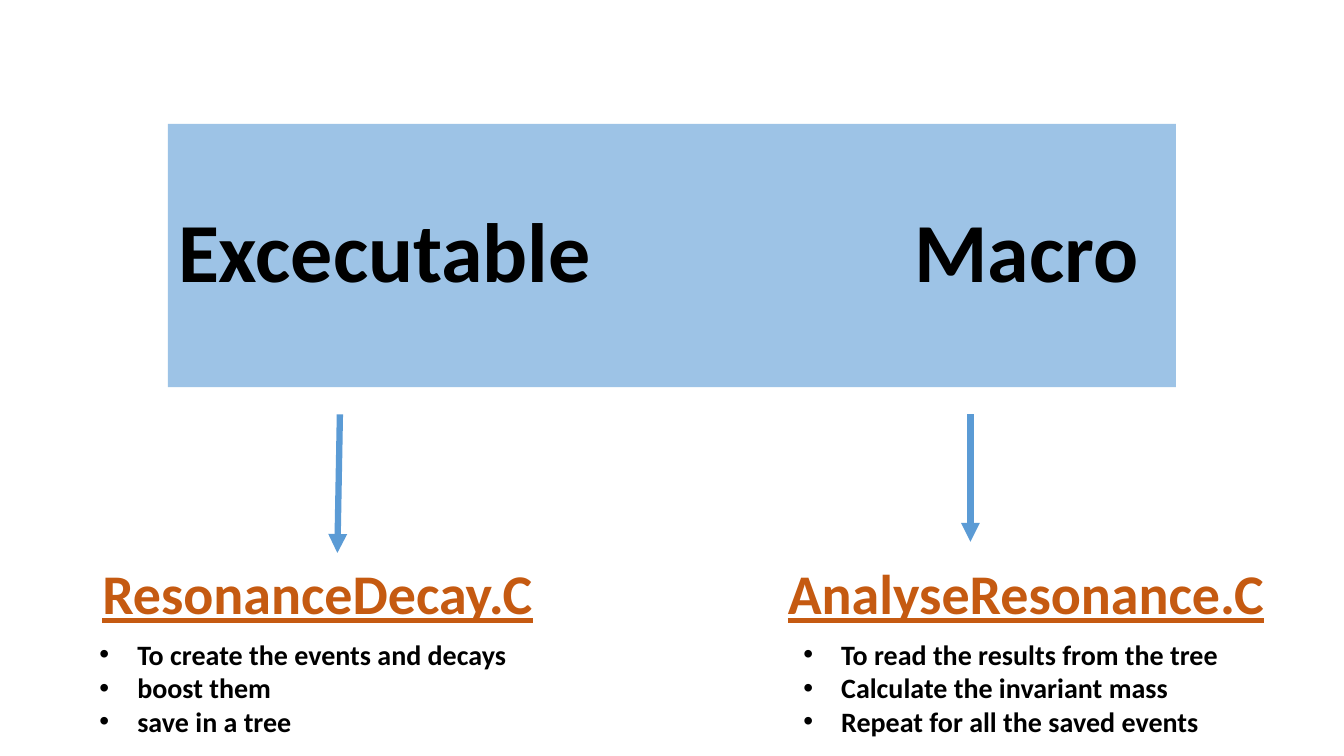
from lxml.etree import SubElement
from pptx import Presentation
from pptx.dml.color import RGBColor
from pptx.enum.dml import MSO_LINE
from pptx.enum.shapes import MSO_CONNECTOR as Connector
from pptx.enum.text import MSO_ANCHOR as Anchor, MSO_AUTO_SIZE as AutoSize, PP_ALIGN as Align
from pptx.oxml import parse_xml
from pptx.oxml.ns import nsdecls, qn
from pptx.util import Pt

BANNER_BLUE = RGBColor(0x9D, 0xC3, 0xE6)
ARROW_BLUE = RGBColor(0x5B, 0x9B, 0xD5)
ORANGE = RGBColor(0xC5, 0x5A, 0x11)
BLACK = RGBColor(0, 0, 0)

BANNER_FONT = {"name": "Calibri", "size": Pt(60), "bold": True}
FILE_FONT = {"name": "Calibri", "size": Pt(40), "bold": True, "underline": True}
BULLET_FONT = {"name": "Calibri", "size": Pt(20), "bold": True}


def write(para, text, font, color):
    span = para.add_run()
    span.text = text
    for key, value in font.items():
        setattr(span.font, key, value)
    span.font.color.rgb = color
    return span


def add_box(page, left, top, width, height):
    box = page.shapes.add_textbox(Pt(left), Pt(top), Pt(width), Pt(height))
    box.text_frame.word_wrap = False
    box.text_frame.auto_size = AutoSize.SHAPE_TO_FIT_TEXT
    return box.text_frame


deck = Presentation()
deck.slide_width, deck.slide_height = Pt(960), Pt(540)
page = deck.slides.add_slide(deck.slide_layouts[5])

# Title banner with two headings, the second at a tab stop
banner = page.shapes.title
banner.left, banner.top, banner.width, banner.height = Pt(120), Pt(88.5), Pt(720), Pt(188)
banner.fill.solid()
banner.fill.fore_color.rgb = BANNER_BLUE
frame = banner.text_frame
frame.word_wrap = True
frame.auto_size = AutoSize.NONE
frame.vertical_anchor = Anchor.MIDDLE
para = frame.paragraphs[0]
para.alignment = Align.LEFT
para.line_spacing = 0.9
tabs = SubElement(para._p.get_or_add_pPr(), qn("a:tabLst"))
SubElement(tabs, qn("a:tab"), pos=str(Pt(526)), algn="l")
span = write(para, "Excecutable\tMacro", BANNER_FONT, BLACK)
span._r.get_or_add_rPr().insert(0, parse_xml(
    f'<a:ln {nsdecls("a")} w="{Pt(0.75)}"><a:solidFill><a:srgbClr val="FFFFFF"/></a:solidFill></a:ln>'))

# One column per program: arrow ends, file name box, bullet box, tasks
columns = [
    ((242.8, 296, 241, 395), "ResonanceDecay.C", (64, 325.5), (64, 307.5),
     ["To create the events and decays", "boost them", "save in a tree"]),
    ((693.2, 296, 693.2, 387), "AnalyseResonance.C", (553.5, 358.5), (566.8, 313),
     ["To read the results from the tree", "Calculate the invariant mass",
      "Repeat for all the saved events"]),
]
for ends, file_name, (name_left, name_width), (list_left, list_width), tasks in columns:
    # Arrow
    arrow = page.shapes.add_connector(Connector.STRAIGHT, *[Pt(end) for end in ends])
    arrow.line.color.rgb = ARROW_BLUE
    arrow.line.width = Pt(4.5)
    arrow.line.dash_style = MSO_LINE.SOLID
    SubElement(arrow.line._get_or_add_ln(), qn("a:tailEnd"), type="triangle")
    SubElement(arrow._element.spPr, qn("a:effectLst"))

    # File name
    para = add_box(page, name_left, 395.5, name_width, 55.5).paragraphs[0]
    para.alignment = Align.CENTER
    write(para, file_name, FILE_FONT, ORANGE)

    # Bulleted tasks
    frame = add_box(page, list_left, 451.5, list_width, 80)
    for index, task in enumerate(tasks):
        para = frame.add_paragraph() if index else frame.paragraphs[0]
        props = para._p.get_or_add_pPr()
        props.set("marL", str(Pt(27)))
        props.set("indent", str(Pt(-27)))
        SubElement(props, qn("a:buFont"), typeface="Arial")
        SubElement(props, qn("a:buChar"), char="•")
        write(para, task, BULLET_FONT, BLACK)

deck.save("out.pptx")
